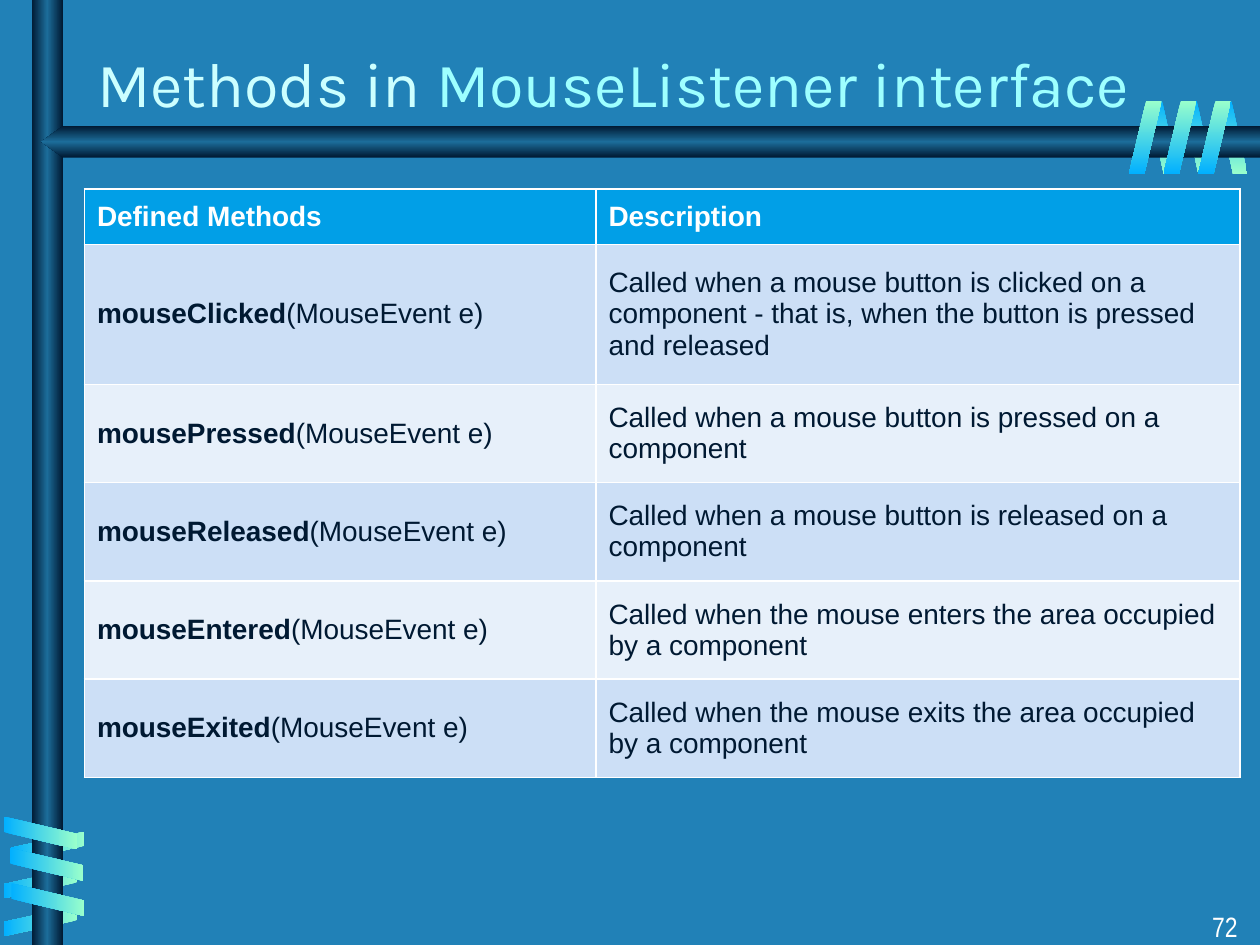
from pptx import Presentation
from pptx import oxml
from pptx.dml.color import RGBColor
from pptx.enum import shapes, text
from pptx.oxml import ns
from pptx.util import Inches, Pt

BLUE = RGBColor(0x21, 0x81, 0xB7)
NAVY = RGBColor(0x00, 0x19, 0x32)
STEEL = RGBColor(0x1C, 0x6D, 0x9A)
SKY = RGBColor(0x01, 0xB0, 0xFF)
MINT = RGBColor(0x99, 0xFF, 0xCC)
PALE_CYAN = RGBColor(0xCC, 0xFF, 0xFF)
CYAN = RGBColor(0x9E, 0xFF, 0xFF)
WHITE = RGBColor(0xFF, 0xFF, 0xFF)
HEADER = RGBColor(0x01, 0x9F, 0xE7)
BANDS = [RGBColor(0xCC, 0xDF, 0xF6), RGBColor(0xE7, 0xF0, 0xFA)]

METHODS = [
    ("mouseClicked", "Called when a mouse button is clicked on a component"
                     " - that is, when the button is pressed and released"),
    ("mousePressed", "Called when a mouse button is pressed on a component"),
    ("mouseReleased", "Called when a mouse button is released on a component"),
    ("mouseEntered", "Called when the mouse enters the area occupied by a component"),
    ("mouseExited", "Called when the mouse exits the area occupied by a component"),
]


def style_span(span, size, font, color, bold=False):
    span.font.size = Pt(size)
    span.font.name = font
    span.font.color.rgb = color
    span.font.bold = bold


def add_gradient_shape(page, kind, box, colors, angle, turn=0, flip=False, adjust=None):
    shape = page.shapes.add_shape(kind, *map(Inches, box))
    shape.shadow.inherit = False
    shape.line.fill.background()
    shape.rotation = turn
    if flip:
        shape.element.spPr.find(ns.qn("a:xfrm")).set("flipH", "1")
    if adjust is not None:
        shape.adjustments[0] = adjust
    shape.fill.gradient()
    old_fill = shape.element.spPr.find(ns.qn("a:gradFill"))
    stops = "".join(
        f'<a:gs pos="{100000 * index // (len(colors) - 1)}"><a:srgbClr val="{color}"/></a:gs>'
        for index, color in enumerate(colors))
    new_fill = oxml.parse_xml(
        f'<a:gradFill {ns.nsdecls("a")} rotWithShape="0"><a:gsLst>{stops}</a:gsLst>'
        f'<a:lin ang="{angle * 60000}" scaled="0"/></a:gradFill>')
    old_fill.getparent().replace(old_fill, new_fill)


def add_ribbons(page, left, top, places, width, colors, angle, turn, flip=False):
    for dx, dy in places:
        add_gradient_shape(page, shapes.MSO_SHAPE.PARALLELOGRAM,
                           (left + dx, top + dy, width, 0.58),
                           colors, angle, turn, flip, 0.53)


def add_bars(page, width, height):
    metal = [NAVY, STEEL, NAVY]
    add_gradient_shape(page, shapes.MSO_SHAPE.RECTANGLE,
                       (0.25, 0, 0.25, height), metal, 0)
    add_gradient_shape(page, shapes.MSO_SHAPE.PENTAGON,
                       (0.33, 1, width - 0.33, 0.25), metal, 90, flip=True, adjust=0.68)


def add_frame(page, width, height):
    right_coil = [(0.55, 0), (0.275, 0), (0, 0)]
    add_ribbons(page, 9.11, 0.8, right_coil, 0.24, [SKY, MINT], 90, 180, True)
    add_ribbons(page, 0.2, 6.43, [(0.06, 0), (0, 0.29), (0, 0.59)],
                0.24, [MINT, SKY], 0, 90, True)
    add_bars(page, width, height)
    add_ribbons(page, 0.19, 6.32, [(0, 0), (0.05, 0.25), (0.06, 0.53)],
                0.26, [SKY, MINT], 0, 270)
    add_ribbons(page, 8.96, 0.8, right_coil, 0.26, [MINT, SKY], 90, 0)


def place_title(page, left, top, width, height):
    title = page.shapes.title
    title.left, title.top, title.width, title.height = map(
        Inches, (left, top, width, height))
    frame = title.text_frame
    frame.auto_size = text.MSO_AUTO_SIZE.NONE
    frame.vertical_anchor = text.MSO_ANCHOR.BOTTOM
    para = frame.paragraphs[0]
    para.alignment = text.PP_ALIGN.LEFT
    for words, color in [("Methods in ", PALE_CYAN), ("MouseListener interface", CYAN)]:
        span = para.add_run()
        span.text = words
        style_span(span, 36, "Karla", color)


def fill_cell(cell, parts, fill, color):
    cell.fill.solid()
    cell.fill.fore_color.rgb = fill
    cell.vertical_anchor = text.MSO_ANCHOR.MIDDLE
    para = cell.text_frame.paragraphs[0]
    for words, bold in parts:
        span = para.add_run()
        span.text = words
        style_span(span, 16, "Arial", color, bold)


def add_method_table(page, left, top, width, height):
    table = page.shapes.add_table(len(METHODS) + 1, 2, *map(
        Inches, (left, top, width, height))).table
    for column, size in zip(table.columns, (4.06, width - 4.06)):
        column.width = Inches(size)
    for row, size in zip(table.rows, [0.44, 1.11] + [0.78] * 4):
        row.height = Inches(size)
    for column, heading in enumerate(("Defined Methods", "Description")):
        fill_cell(table.cell(0, column), [(heading, True)], HEADER, WHITE)
    for index, (method, description) in enumerate(METHODS):
        band = BANDS[index % 2]
        fill_cell(table.cell(index + 1, 0),
                  [(method, True), ("(MouseEvent e)", False)], band, NAVY)
        fill_cell(table.cell(index + 1, 1), [(description, False)], band, NAVY)


def add_page_number(page, left, top, width, height):
    box = page.shapes.add_textbox(*map(Inches, (left, top, width, height)))
    box.text_frame.word_wrap = True
    para = box.text_frame.paragraphs[0]
    para.text = "72"
    para.alignment = text.PP_ALIGN.RIGHT
    style_span(para.runs[0], 16, "Arial Narrow", WHITE)


def main():
    deck = Presentation()
    deck.slide_width, deck.slide_height = Inches(10), Inches(7.5)
    page = deck.slides.add_slide(deck.slide_layouts[5])
    page.background.fill.solid()
    page.background.fill.fore_color.rgb = BLUE
    add_frame(page, 10, 7.5)
    place_title(page, 0.67, 0.25, 9.17, 0.75)
    add_method_table(page, 0.67, 1.5, 9.17, 4.67)
    add_page_number(page, 9.33, 7.17, 0.59, 0.33)
    deck.save("out.pptx")


if __name__ == "__main__":
    main()
